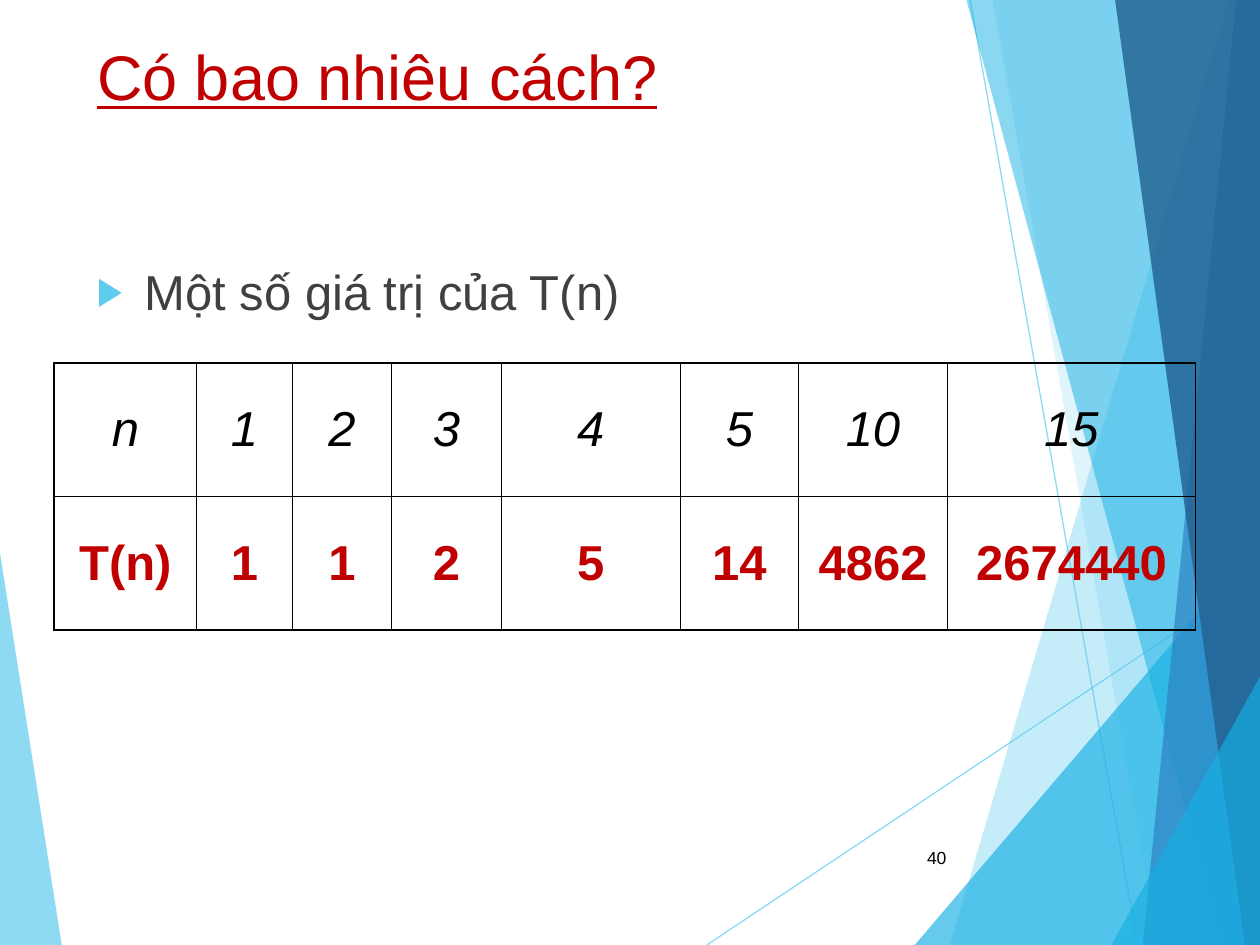
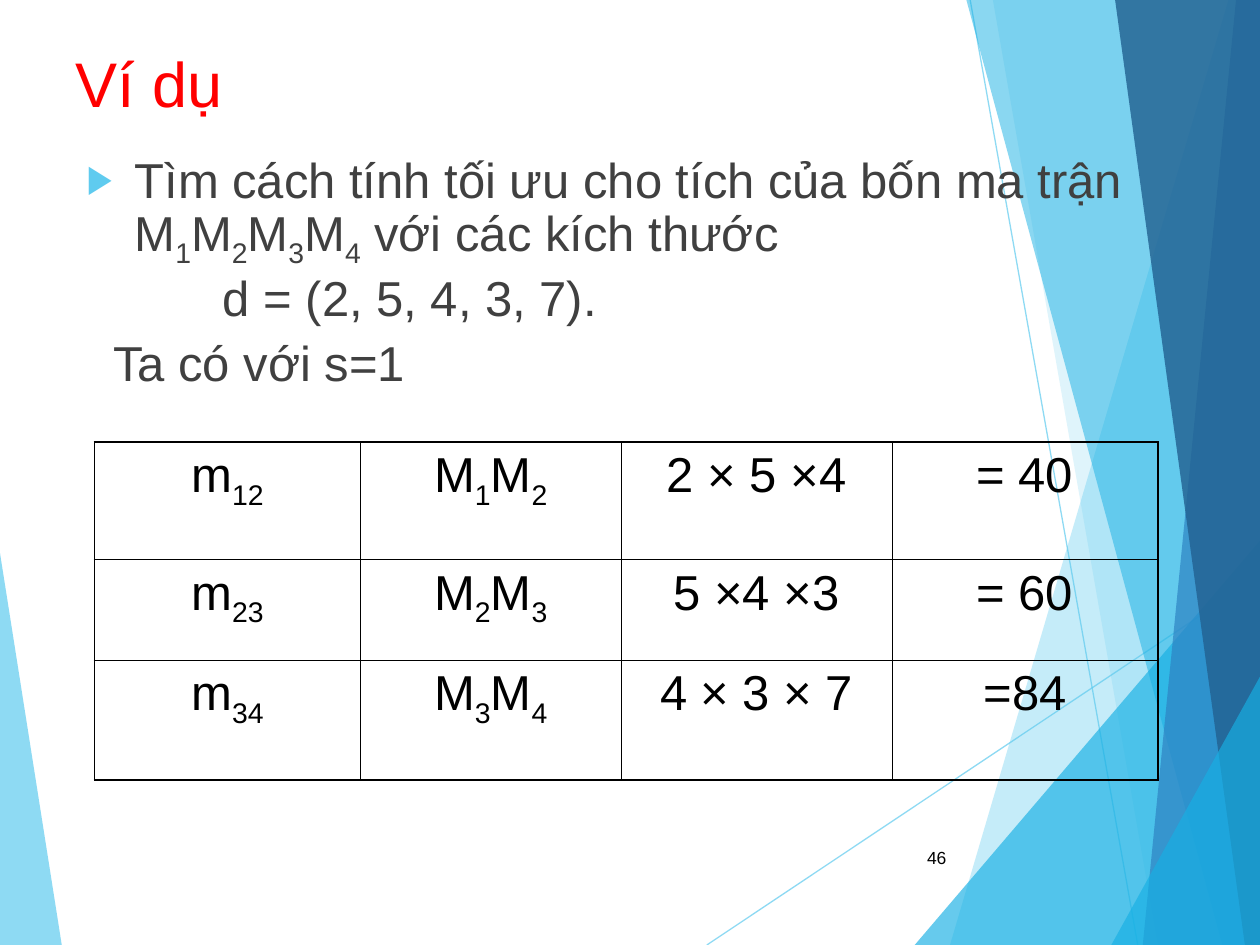
from dataclasses import dataclass

from lxml.etree import SubElement
from pptx import Presentation
from pptx.dml.color import RGBColor
from pptx.enum.shapes import MSO_CONNECTOR
from pptx.enum.text import MSO_ANCHOR, MSO_AUTO_SIZE, PP_ALIGN
from pptx.oxml.ns import qn
from pptx.util import Inches, Pt


@dataclass(frozen=True)
class Theme:
    font: str = "Arial"
    black: str = "000000"
    body: str = "404040"
    crimson: str = "C00000"
    red: str = "FF0000"
    sky: str = "5FCBEF"
    cyan: str = "17B0E4"
    blue: str = "2E83C3"
    navy: str = "236292"
    title_size: int = 36
    text_size: int = 28
    number_size: int = 10
    outer_border: float = 1.08
    inner_border: float = 0.45
    facet_line: float = 0.75


THEME = Theme()

deck = Presentation()
deck.slide_width = Inches(10)
deck.slide_height = Inches(7.5)
COLS, ROWS = 100, 75
COL = deck.slide_width // COLS
ROW = deck.slide_height // ROWS


def write(paragraph, text, *, size=THEME.text_size, color=THEME.black, bold=False,
          italic=False, underline=False, align=PP_ALIGN.LEFT):
    """Fill a paragraph; parts between underscores become subscripts."""
    paragraph.alignment = align
    for index, part in enumerate(text.split("_")):
        if not part:
            continue
        run = paragraph.add_run()
        run.text = part
        run.font.name = THEME.font
        run.font.size = Pt(size)
        run.font.bold = bold
        run.font.italic = italic
        run.font.underline = underline
        run.font.color.rgb = RGBColor.from_string(color)
        if index % 2:
            run._r.get_or_add_rPr().set("baseline", "-25000")


def add_grid_table(slide, left, top, widths, heights, rows, row_formats, anchor):
    """Add an unfilled table with a heavier outer border; lengths in grid units."""
    table = slide.shapes.add_table(
        len(heights), len(widths), int(left * COL), int(top * ROW),
        int(sum(widths) * COL), int(sum(heights) * ROW)).table
    table.first_row = table.horz_banding = False
    for column, width in zip(table.columns, widths):
        column.width = int(width * COL)
    for row, height in zip(table.rows, heights):
        row.height = int(height * ROW)
    for r, (texts, row_format) in enumerate(zip(rows, row_formats)):
        for c, text in enumerate(texts):
            cell = table.cell(r, c)
            cell.vertical_anchor = anchor
            write(cell.text_frame.paragraphs[0], text, align=PP_ALIGN.CENTER, **row_format)
            on_edge = {"lnL": c == 0, "lnR": c == len(widths) - 1,
                       "lnT": r == 0, "lnB": r == len(heights) - 1}
            properties = cell._tc.get_or_add_tcPr()
            for side, outer in on_edge.items():
                weight = THEME.outer_border if outer else THEME.inner_border
                border = SubElement(properties, qn(f"a:{side}"), w=str(int(Pt(weight))))
                ink = SubElement(border, qn("a:solidFill"))
                SubElement(ink, qn("a:srgbClr"), val=THEME.black)
            cell.fill.background()


# Faceted background: corner points in grid units, colour, opacity in percent.
# Two points make a line, more make a filled facet.
FACETS = [
    ([(0, 43.9), (4.9, ROWS), (0, ROWS)], THEME.sky, 70),
    ([(56.1, ROWS), (COLS, 45.7)], THEME.sky, 70),
    ([(77, 0), (90.3, ROWS)], THEME.sky, 70),
    ([(97.5, 0), (75.4, ROWS), (COLS, ROWS), (COLS, 0)], THEME.sky, 36),
    ([(78.8, 0), (91.9, ROWS), (COLS, ROWS), (COLS, 0)], THEME.sky, 20),
    ([(72.6, ROWS), (COLS, 42.9), (COLS, ROWS)], THEME.cyan, 66),
    ([(76.7, 0), (97, ROWS), (COLS, ROWS), (COLS, 0)], THEME.cyan, 50),
    ([(98.1, 0), (90.7, ROWS), (COLS, ROWS), (COLS, 0)], THEME.blue, 70),
    ([(88.5, 0), (98.8, ROWS), (COLS, ROWS), (COLS, 0)], THEME.navy, 82),
    ([(88.2, ROWS), (COLS, 53.7), (COLS, ROWS)], THEME.cyan, 66),
]

SLIDES = [
    dict(
        title="Có bao nhiêu cách?", title_box=(6.7, 2.5, 69.4, 14.4),
        title_format=dict(color=THEME.crimson, underline=True),
        body_box=(6.7, 20.3, 69.4, 42.4), line_spacing=1.0,
        body=[("Một số giá trị của T(n)", 3.8, True)],
        number="40",
        table=dict(
            left=4.3, top=28.8, anchor=MSO_ANCHOR.MIDDLE,
            widths=[11.3, 7.6, 7.9, 8.7, 14.2, 9.4, 11.8, 19.7], heights=[10.6] * 2,
            rows=[["n", "1", "2", "3", "4", "5", "10", "15"],
                  ["T(n)", "1", "1", "2", "5", "14", "4862", "2674440"]],
            row_formats=[dict(italic=True), dict(color=THEME.crimson, bold=True)]),
    ),
    dict(
        title="Ví dụ", title_box=(5, 3, 90, 6.9),
        title_format=dict(color=THEME.red),
        body_box=(5.9, 12.3, 84.3, 19.7), line_spacing=0.8,
        body=[("Tìm cách tính tối ưu cho tích của bốn ma trận "
               "M_1_M_2_M_3_M_4_ với các kích thước", 3.8, True),
              ("d = (2, 5, 4, 3, 7).", 10.8, False),
              ("Ta có với s=1", 2.1, False)],
        number="46",
        table=dict(
            left=7.5, top=35.1, anchor=MSO_ANCHOR.TOP,
            widths=[21.1, 20.7, 21.5, 21.1], heights=[9.3, 8, 9.5],
            rows=[["m_12_", "M_1_M_2_", "2 × 5 ×4", "= 40"],
                  ["m_23_", "M_2_M_3_", "5 ×4 ×3", "= 60"],
                  ["m_34_", "M_3_M_4_", "4 × 3 × 7", "=84"]],
            row_formats=[{}] * 3),
    ),
]

layout = deck.slide_layouts.get_by_name("Title Only")
slides = [deck.slides.add_slide(layout) for _ in SLIDES]

# Facets are drawn once, then moved to the layout that both slides share.
for corners, color, opacity in FACETS:
    points = [(int(x * COL), int(y * ROW)) for x, y in corners]
    shapes = slides[0].shapes
    if len(points) == 2:
        facet = shapes.add_connector(MSO_CONNECTOR.STRAIGHT, *points[0], *points[1])
        facet.line.color.rgb = RGBColor.from_string(color)
        facet.line.width = Pt(THEME.facet_line)
        SubElement(facet.element.spPr, qn("a:effectLst"))
    else:
        outline = shapes.build_freeform(*points[0])
        outline.add_line_segments(points[1:], close=True)
        facet = outline.convert_to_shape()
        facet.shadow.inherit = False
        facet.fill.solid()
        facet.fill.fore_color.rgb = RGBColor.from_string(color)
        facet.line.fill.background()
    for tint in facet.element.spPr.iter(qn("a:srgbClr")):
        SubElement(tint, qn("a:alpha"), val=str(opacity * 1000))
    layout.shapes.element.append(facet.element)

for slide, content in zip(slides, SLIDES):
    title = slide.shapes.title
    left, top, width, height = content["title_box"]
    title.left, title.top = int(left * COL), int(top * ROW)
    title.width, title.height = int(width * COL), int(height * ROW)
    title.text_frame.auto_size = MSO_AUTO_SIZE.NONE
    title.text_frame.vertical_anchor = MSO_ANCHOR.TOP
    write(title.text_frame.paragraphs[0], content["title"],
          size=THEME.title_size, **content["title_format"])

    left, top, width, height = content["body_box"]
    body = slide.shapes.add_textbox(int(left * COL), int(top * ROW),
                                    int(width * COL), int(height * ROW)).text_frame
    body.word_wrap = True
    for index, (text, indent, bulleted) in enumerate(content["body"]):
        paragraph = body.add_paragraph() if index else body.paragraphs[0]
        properties = paragraph._p.get_or_add_pPr()
        properties.set("marL", str(int(indent * COL)))
        if bulleted:
            properties.set("indent", str(-int(indent * COL)))
            bullet_color = SubElement(properties, qn("a:buClr"))
            SubElement(bullet_color, qn("a:srgbClr"), val=THEME.sky)
            SubElement(properties, qn("a:buSzPct"), val="80000")
            SubElement(properties, qn("a:buFont"), typeface=THEME.font)
            SubElement(properties, qn("a:buChar"), char="▶")
        paragraph.line_spacing = content["line_spacing"]
        if index:
            paragraph.space_before = Pt(10)
        write(paragraph, text, color=THEME.body)

    number = slide.shapes.add_textbox(int(70.5 * COL), int(66.1 * ROW),
                                      int(5.6 * COL), 4 * ROW).text_frame
    number.word_wrap = True
    number.vertical_anchor = MSO_ANCHOR.MIDDLE
    write(number.paragraphs[0], content["number"],
          size=THEME.number_size, align=PP_ALIGN.RIGHT)

    add_grid_table(slide, **content["table"])

deck.save("out.pptx")
